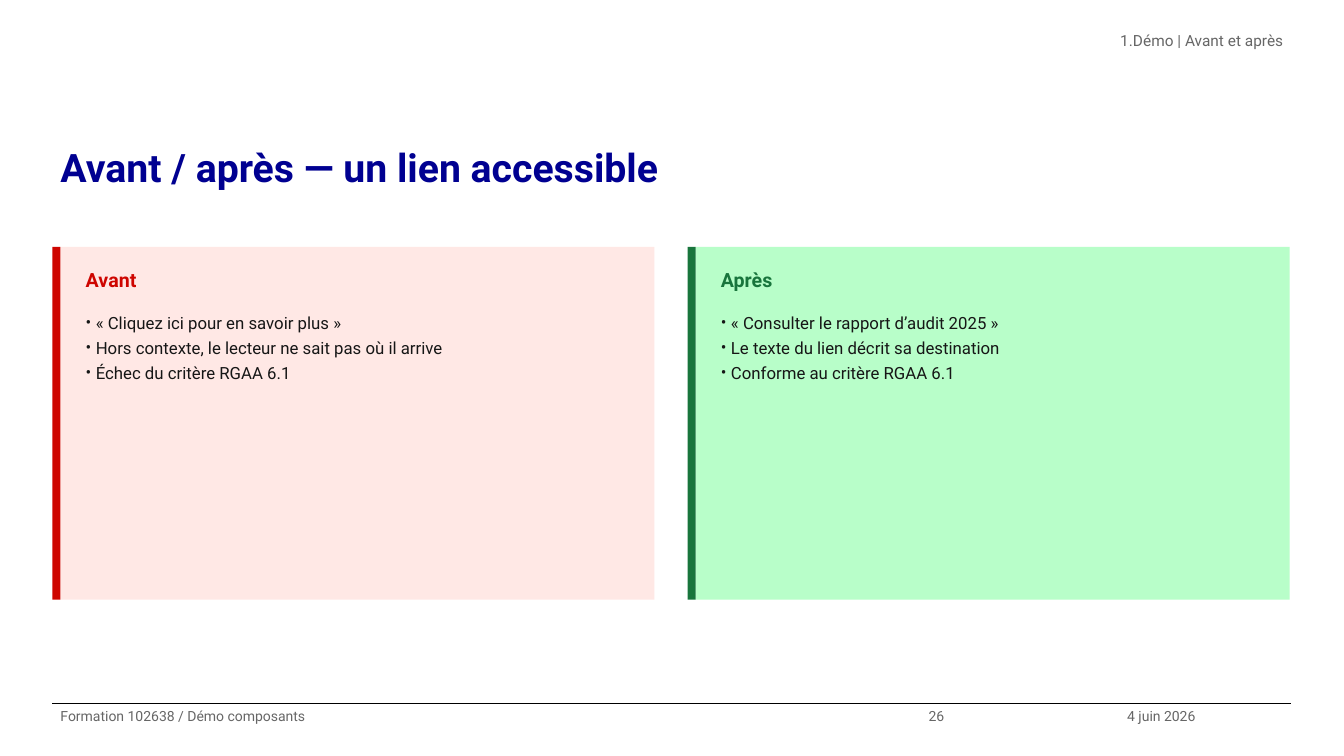
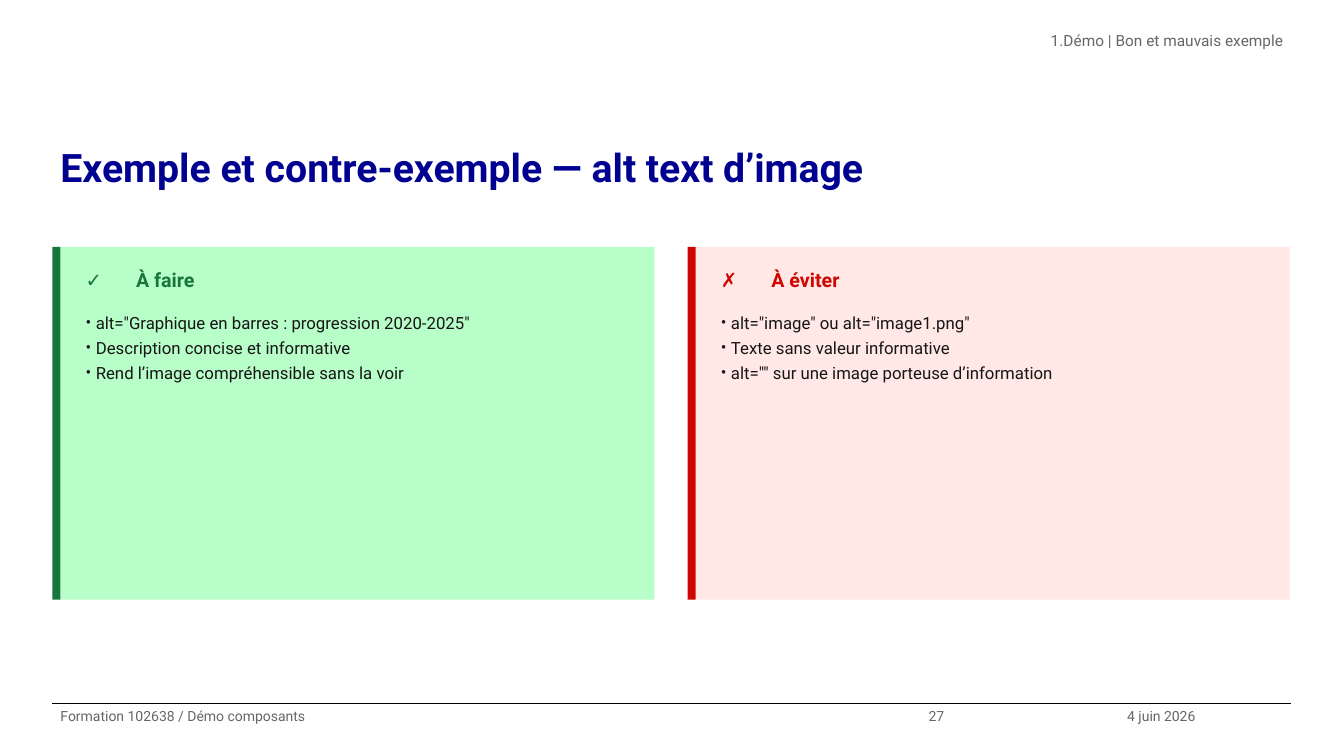
from dataclasses import dataclass
from lxml.etree import SubElement
from pptx import Presentation
from pptx.dml.color import RGBColor
from pptx.enum.shapes import MSO_CONNECTOR as CONN, MSO_SHAPE as SHAPE
from pptx.enum.text import MSO_ANCHOR as ANCHOR, MSO_AUTO_SIZE as FIT, PP_ALIGN as ALIGN
from pptx.oxml.ns import qn
from pptx.util import Inches, Pt

SLIDES = [
    {
        "section": "Démo | Avant et après",
        "title": "Avant / après — un lien accessible",
        "panels": [
            ("bad", "Avant", [
                "« Cliquez ici pour en savoir plus »",
                "Hors contexte, le lecteur ne sait pas où il arrive",
                "Échec du critère RGAA 6.1",
            ]),
            ("good", "Après", [
                "« Consulter le rapport d’audit 2025 »",
                "Le texte du lien décrit sa destination",
                "Conforme au critère RGAA 6.1",
            ]),
        ],
    },
    {
        "section": "Démo | Bon et mauvais exemple",
        "title": "Exemple et contre-exemple — alt text d’image",
        "panels": [
            ("good", "✓\tÀ faire", [
                'alt="Graphique en barres : progression 2020-2025"',
                "Description concise et informative",
                "Rend l’image compréhensible sans la voir",
            ]),
            ("bad", "✗\tÀ éviter", [
                'alt="image" ou alt="image1.png"',
                "Texte sans valeur informative",
                'alt="" sur une image porteuse d’information',
            ]),
        ],
    },
]
FIRST_NUMBER = 26
FOOTER = "Formation 102638 / Démo composants"
DATE = "4 juin 2026"


@dataclass(frozen=True)
class Theme:
    font: str = "Roboto"
    title: tuple = (28, "000091", True)
    section: tuple = (11, "666666", False)
    footer: tuple = (10, "666666", False)
    body: tuple = (12, "161616", False)
    heading_size: int = 14
    rule: str = "000000"
    good: tuple = ("18753C", "B8FEC9")
    bad: tuple = ("CE0500", "FFE8E5")


THEME = Theme()
LEFT, WIDTH = 0.52, 12.28
PANEL_TOP, PANEL_H, PANEL_W, PANEL_STEP = 2.45, 3.5, 5.89, 6.3
BAR_W, TEXT_DX, TEXT_W = 0.08, 0.25, 5.62
RULE_TOP, FOOTER_H = 6.98, 0.52
NUMBER_LEFT, DATE_LEFT = 9.13, 11.1


def place(shape, box):
    for name, value in zip(("left", "top", "width", "height"), box):
        setattr(shape, name, Inches(value))


def set_indent(p, hang, bullet, **attrs):
    pPr = p._p.get_or_add_pPr()
    pPr.set("marL", str(Inches(hang)))
    pPr.set("indent", str(-Inches(hang)))
    if bullet != "buNone":
        SubElement(pPr, qn("a:buFont"), typeface=THEME.font)
    SubElement(pPr, qn(f"a:{bullet}"), **attrs)
    return pPr


def write(shape, box, lines, style, inset=0, align=ALIGN.LEFT, hang=0, bullet="buNone", **attrs):
    size, color, bold = style
    place(shape, box)
    tf = shape.text_frame
    frame = {"word_wrap": True, "auto_size": FIT.NONE, "vertical_anchor": ANCHOR.TOP,
             "margin_left": Inches(0.08), "margin_right": Inches(0.08),
             "margin_top": Inches(inset), "margin_bottom": Inches(inset)}
    for name, value in frame.items():
        setattr(tf, name, value)
    for i, line in enumerate(lines):
        p = tf.add_paragraph() if i else tf.paragraphs[0]
        pPr = set_indent(p, hang, bullet, **attrs)
        if "\t" in line:
            tabs = SubElement(pPr, qn("a:tabLst"))
            SubElement(tabs, qn("a:tab"), pos=str(Inches(0.26)), algn="l")
        for name, value in {"alignment": align, "line_spacing": 1.25,
                            "space_before": Pt(0), "space_after": Pt(0)}.items():
            setattr(p, name, value)
        r = p.add_run()
        r.text = line
        for name, value in {"name": THEME.font, "size": Pt(size), "bold": bold}.items():
            setattr(r.font, name, value)
        r.font.color.rgb = RGBColor.from_string(color)
    return tf


def add_text(s, box, text, style, **options):
    return write(s.shapes.add_textbox(0, 0, 0, 0), box, [text], style, **options)


def make_number_field(p):
    r = p.runs[0]._r
    field = SubElement(p._p, qn("a:fld"), type="slidenum",
                       id="{B6F15528-21DE-4FAA-801E-634DDDAF4B2B}")
    field.extend(list(r))
    p._p.remove(r)


def add_rect(s, box, color):
    sp = s.shapes.add_shape(SHAPE.RECTANGLE, 0, 0, 0, 0)
    place(sp, box)
    sp.shadow.inherit = False
    sp.fill.solid()
    sp.fill.fore_color.rgb = RGBColor.from_string(color)
    sp.line.fill.background()
    s.shapes.title.element.addprevious(sp.element)


def add_panel(s, index, kind, heading, items):
    accent, tint = getattr(THEME, kind)
    left = LEFT + index * PANEL_STEP
    add_rect(s, (left + BAR_W, PANEL_TOP, PANEL_W, PANEL_H), tint)
    add_rect(s, (left, PANEL_TOP, BAR_W, PANEL_H), accent)
    head, body = (s.placeholders[2 * index + n] for n in (1, 2))
    x = left + TEXT_DX
    write(head, (x, PANEL_TOP + 0.1, TEXT_W, 0.4), [heading],
          (THEME.heading_size, accent, True), inset=0.05)
    write(body, (x, PANEL_TOP + 0.55, TEXT_W, 2.85), items, THEME.body,
          inset=0.05, hang=0.1, bullet="buChar", char="•")


def add_frame(s, section, number):
    add_text(s, (4.83, 0.26, 7.98, 0.52), section, THEME.section, align=ALIGN.RIGHT,
             hang=0.12, bullet="buAutoNum", type="arabicPeriod")
    rule = s.shapes.add_connector(CONN.STRAIGHT, Inches(LEFT), Inches(RULE_TOP),
                                  Inches(LEFT + WIDTH), Inches(RULE_TOP))
    rule.line.width = Pt(0.8)
    rule.line.color.rgb = RGBColor.from_string(THEME.rule)
    SubElement(rule.element.spPr, qn("a:effectLst"))
    edges = (LEFT, NUMBER_LEFT, DATE_LEFT, LEFT + WIDTH)
    frames = [add_text(s, (x, RULE_TOP, end - x, FOOTER_H), text, THEME.footer)
              for x, end, text in zip(edges, edges[1:], (FOOTER, str(number), DATE))]
    make_number_field(frames[1].paragraphs[0])


def main():
    prs = Presentation()
    prs.slide_width, prs.slide_height = Inches(13.33), Inches(7.5)
    prs.element.set("firstSlideNum", str(FIRST_NUMBER))
    comparison = prs.slide_layouts.get_by_name("Comparison")
    for number, content in enumerate(SLIDES, FIRST_NUMBER):
        s = prs.slides.add_slide(comparison)
        write(s.shapes.title, (LEFT, 1.31, WIDTH, 1.05), [content["title"]], THEME.title)
        for index, panel in enumerate(content["panels"]):
            add_panel(s, index, *panel)
        add_frame(s, content["section"], number)
    prs.save("out.pptx")


if __name__ == "__main__":
    main()
